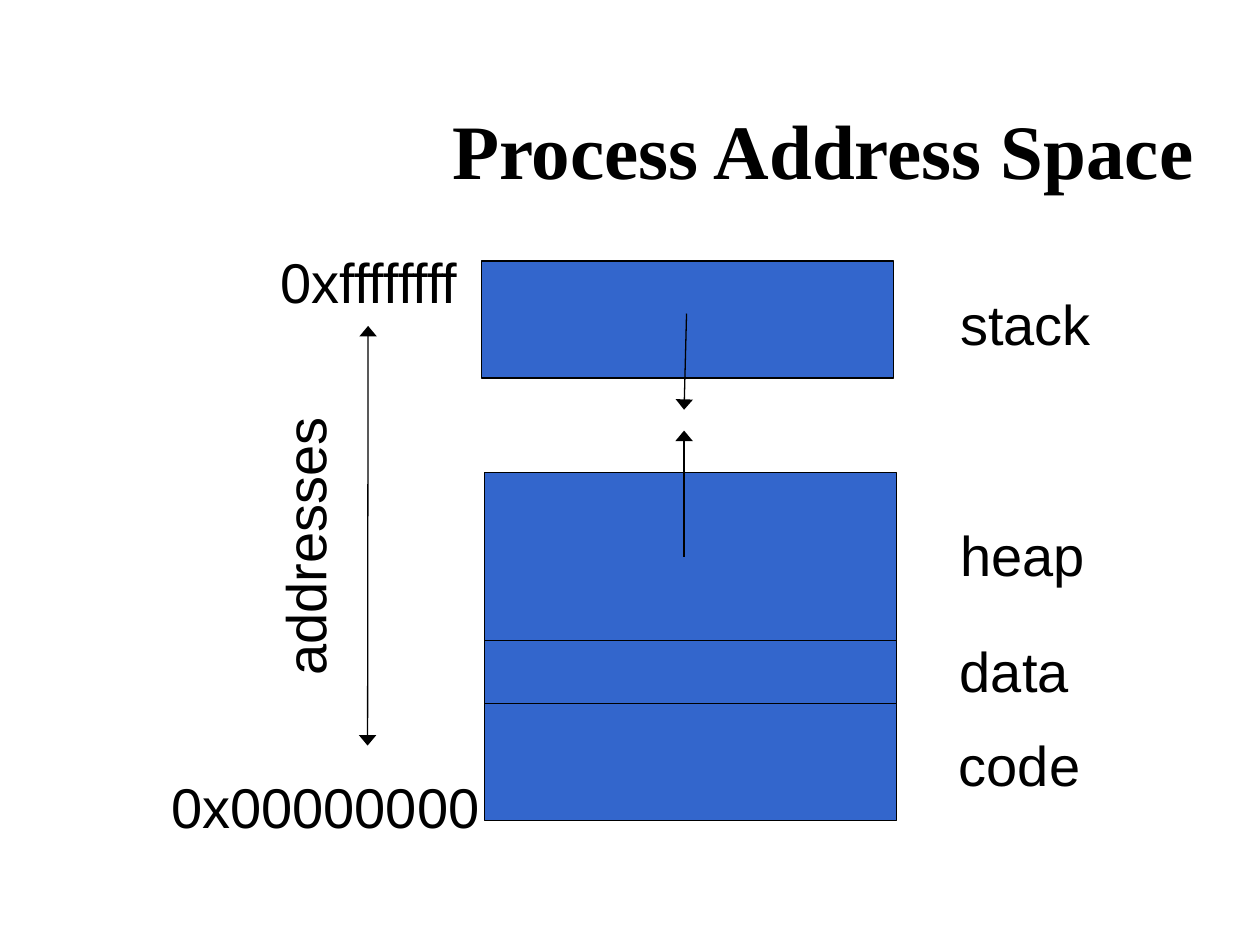
from lxml import etree
from pptx import Presentation
from pptx.dml.color import RGBColor
from pptx.enum.shapes import MSO_CONNECTOR, MSO_SHAPE
from pptx.enum.text import MSO_ANCHOR, MSO_AUTO_SIZE, PP_ALIGN
from pptx.oxml.ns import qn
from pptx.util import Cm, Pt

RECTANGLE = MSO_SHAPE.RECTANGLE
STRAIGHT = MSO_CONNECTOR.STRAIGHT
MIDDLE = MSO_ANCHOR.MIDDLE
RIGHT = PP_ALIGN.RIGHT
GROW = MSO_AUTO_SIZE.SHAPE_TO_FIT_TEXT
NO_GROW = MSO_AUTO_SIZE.NONE

BLACK = "000000"
BLUE = "3366CC"
TITLE = "Process Address Space"
TITLE_AREA = (3.6, 2.32, 20.73, 1.37)
TITLE_FONT = {"name": "Times New Roman", "size": Pt(44), "bold": True}
LABEL_FONT = {"name": "Arial", "size": Pt(32), "bold": False}
LABEL_HEIGHT = 1.63
SEGMENT_WIDTH = 8.3
STACK = (9.71, 5.26, SEGMENT_WIDTH, 2.36)
LOWER_LEFT, LOWER_TOP = 9.77, 9.53
LOWER_HEIGHTS = {"heap": 3.38, "data": 1.27, "code": 2.36}

LABELS = [
    ("code", 19.08, 14.61, 3.05, 0),
    ("data", 19.1, 12.7, 2.8, 0),
    ("heap", 19.11, 10.36, 3.1, 0),
    ("stack", 19.11, 5.72, 3.2, 0),
    ("0x00000000", 3.2, 15.44, 6.75, 0),
    ("0xffffffff", 5.41, 4.87, 4.22, 0),
    ("addresses", 3.28, 10.2, 5.72, 270),
]
GROWTH_ARROWS = [
    ((13.84, 6.32), (13.79, 8.26)),
    ((13.79, 11.22), (13.79, 8.68)),
]
ADDRESS_ARROW = ((7.42, 6.57), (7.41, 15.03))


def color(value):
    return RGBColor.from_string(value)


def lengths(values):
    return [Cm(value) for value in values]


def write(frame, text, font):
    para = frame.paragraphs[0]
    span = para.add_run()
    span.text = text
    for name, value in font.items():
        setattr(span.font, name, value)
    span.font.color.rgb = color(BLACK)
    return para


def outline(line):
    line.color.rgb = color(BLACK)
    line.width = Pt(0.75)


def add_title(page):
    box = page.shapes.title
    box.left, box.top, box.width, box.height = lengths(TITLE_AREA)
    frame = box.text_frame
    frame.vertical_anchor = MIDDLE
    frame.auto_size = NO_GROW
    write(frame, TITLE, TITLE_FONT).alignment = RIGHT


def add_segment(page, area):
    segment = page.shapes.add_shape(RECTANGLE, *lengths(area))
    segment.shadow.inherit = False
    segment.fill.solid()
    segment.fill.fore_color.rgb = color(BLUE)
    outline(segment.line)


def add_label(page, text, left, top, width, rotation):
    box = page.shapes.add_textbox(*lengths((left, top, width, LABEL_HEIGHT)))
    box.rotation = rotation
    box.text_frame.word_wrap = False
    box.text_frame.auto_size = GROW
    write(box.text_frame, text, LABEL_FONT)


def add_arrow(page, start, end, ends=("a:tailEnd",)):
    arrow = page.shapes.add_connector(STRAIGHT, *lengths(start + end))
    outline(arrow.line)
    line = arrow.line._get_or_add_ln()
    for tag in ends:
        etree.SubElement(line, qn(tag), type="triangle", w="lg", len="med")
    etree.SubElement(arrow._element.spPr, qn("a:effectLst"))


def main():
    deck = Presentation()
    deck.slide_width, deck.slide_height = lengths((25.4, 19.05))
    page = deck.slides.add_slide(deck.slide_layouts[5])
    add_title(page)

    add_segment(page, STACK)
    top = LOWER_TOP
    for height in LOWER_HEIGHTS.values():
        add_segment(page, (LOWER_LEFT, top, SEGMENT_WIDTH, height))
        top += height

    for start, end in GROWTH_ARROWS:
        add_arrow(page, start, end)
    for label in LABELS:
        add_label(page, *label)
    add_arrow(page, *ADDRESS_ARROW, ends=("a:headEnd", "a:tailEnd"))

    deck.save("out.pptx")


if __name__ == "__main__":
    main()
